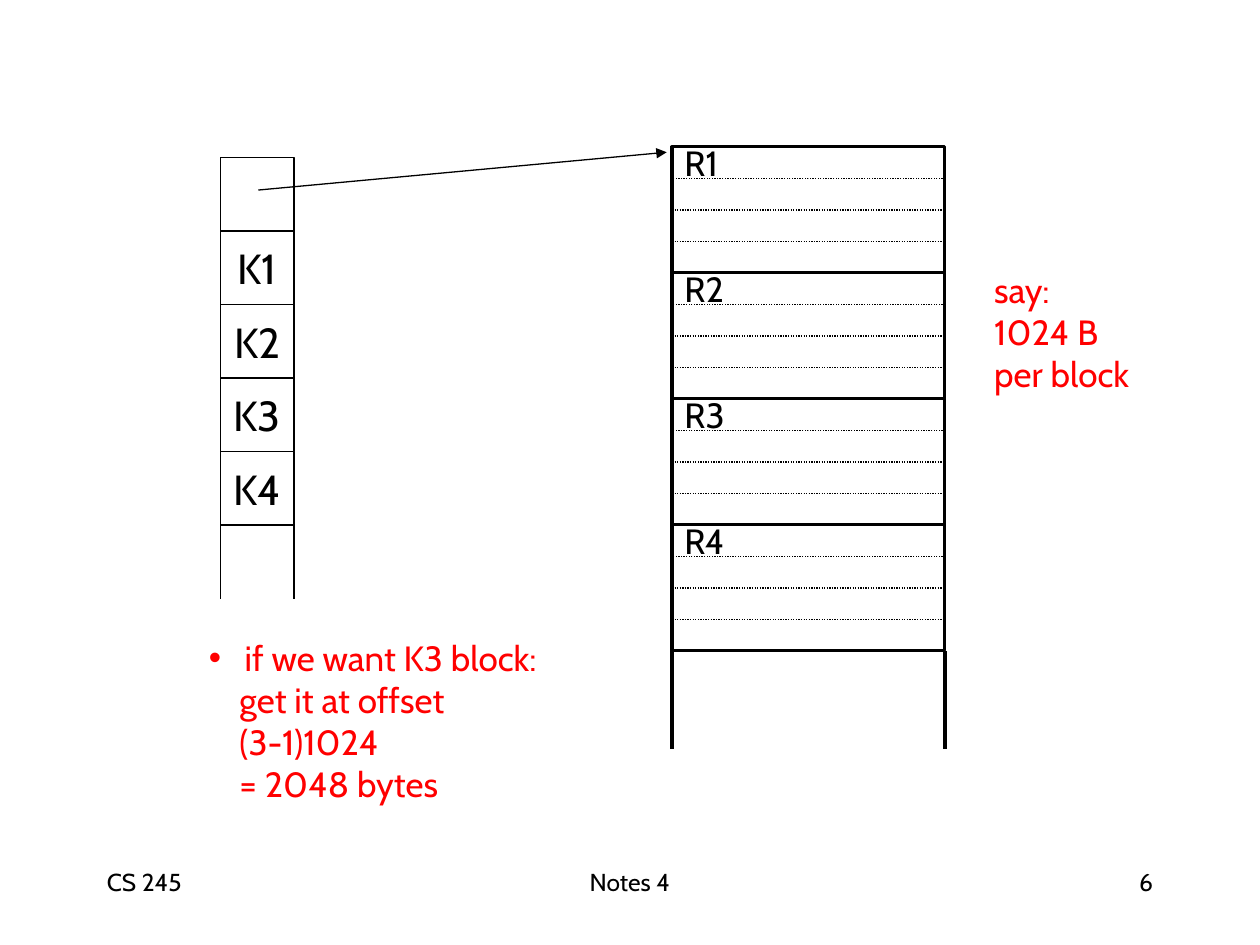
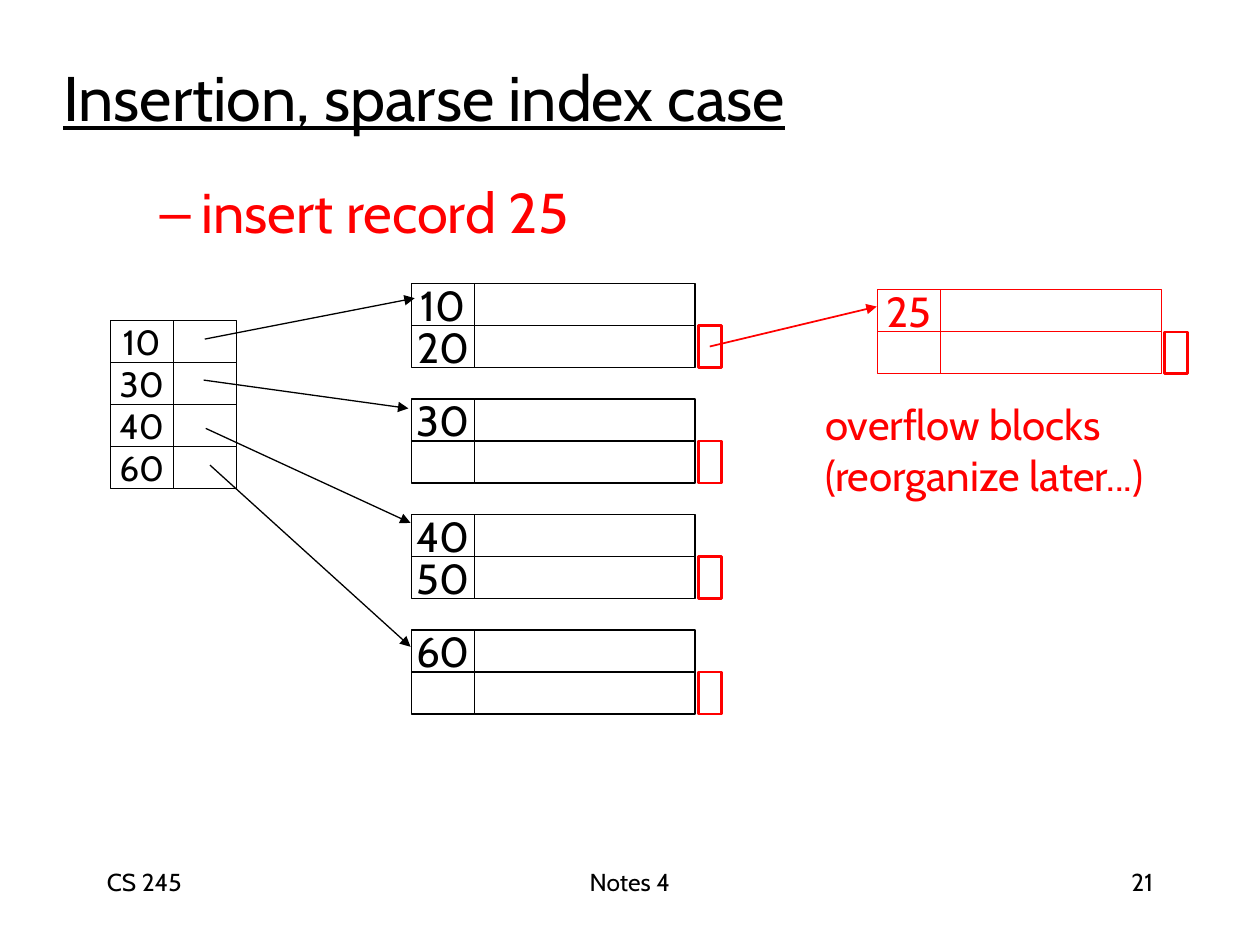
from pptx import Presentation
from pptx.dml.color import RGBColor
from pptx.enum.dml import MSO_LINE
from pptx.enum.shapes import MSO_CONNECTOR, MSO_SHAPE
from pptx.enum.text import MSO_ANCHOR, MSO_AUTO_SIZE, PP_ALIGN
from pptx.oxml.ns import qn
from pptx.util import Pt
from lxml import etree

PX = 7620  # EMU in one px, 120 px to the inch
WIDE, HIGH = 1200, 900
BLACK = RGBColor(0, 0, 0)
WHITE = RGBColor(255, 255, 255)
RED = RGBColor(255, 0, 0)
FONT = "Cabin"
LEFT, MID, RIGHT = PP_ALIGN.LEFT, PP_ALIGN.CENTER, PP_ALIGN.RIGHT
TOP, CENTER = MSO_ANCHOR.TOP, MSO_ANCHOR.MIDDLE
RECT, STRAIGHT = MSO_SHAPE.RECTANGLE, MSO_CONNECTOR.STRAIGHT
DOT, NO_FIT = MSO_LINE.ROUND_DOT, MSO_AUTO_SIZE.NONE


class Deck:
    def __init__(self):
        self.prs = Presentation()
        self.prs.slide_width = WIDE * PX
        self.prs.slide_height = HIGH * PX
        self.slide = None

    def start(self, number, title=None):
        self.slide = self.prs.slides.add_slide(self.prs.slide_layouts[1])
        head = self.slide.shapes.title
        if title:
            self.place(head, 48, 37, 1020, 110)
            self.label(head, [title], 36, under=True)
        else:
            head._element.getparent().remove(head._element)
        for x, w, words, align in ((90, 250, "CS 245", LEFT),
                                   (410, 380, "Notes 4", MID),
                                   (860, 250, str(number), RIGHT)):
            self.text(x, 820, w, 60, [words], 14, BLACK, align, TOP)

    def place(self, shape, x, y, w, h):
        shape.left, shape.top = x * PX, y * PX
        shape.width, shape.height = w * PX, h * PX

    def label(self, shape, lines, size, color=BLACK, align=LEFT,
              anchor=CENTER, wrap=True, under=None):
        frame = shape.text_frame
        frame.auto_size = NO_FIT
        frame.word_wrap = wrap
        frame.vertical_anchor = anchor
        frame.margin_left = frame.margin_right = 12 * PX
        frame.margin_top = frame.margin_bottom = 6 * PX
        for i, line in enumerate(lines):
            para = frame.paragraphs[0] if i == 0 else frame.add_paragraph()
            para.alignment = align
            para.space_before = Pt(0)
            run = para.add_run()
            run.text = line
            font = run.font
            font.name, font.size, font.underline = FONT, Pt(size), under
            font.color.rgb = color

    def text(self, x, y, w, h, lines, size, color=RED, align=LEFT,
             anchor=CENTER):
        box = self.slide.shapes.add_textbox(x * PX, y * PX, w * PX, h * PX)
        self.label(box, lines, size, color, align, anchor)

    def list(self, x, y, w, h, lines, size, mark, hang, rest=0):
        """Fill the body; only its first line has a bullet."""
        body = self.slide.placeholders[1]
        self.place(body, x, y, w, h)
        self.label(body, lines, size, RED)
        for i, para in enumerate(body.text_frame.paragraphs):
            props = para._p.get_or_add_pPr()
            margin, indent = hang if i == 0 else (rest, 0)
            props.set("marL", str(margin * PX))
            props.set("indent", str(indent * PX))
            if i == 0:
                tint = etree.SubElement(props, qn("a:buClr"))
                etree.SubElement(tint, qn("a:srgbClr"), val=str(RED))
                etree.SubElement(props, qn("a:buChar"), char=mark)
            else:
                etree.SubElement(props, qn("a:buNone"))

    def rect(self, x, y, w, h, words="", size=24, color=BLACK, weight=0.75,
             fill=WHITE, dash=None, align=MID):
        box = self.slide.shapes.add_shape(RECT, x * PX, y * PX, w * PX, h * PX)
        box.shadow.inherit = False
        if fill is None:
            box.fill.background()
        else:
            box.fill.solid()
            box.fill.fore_color.rgb = fill
        self.stroke(box.line, color, weight, dash)
        if words:
            self.label(box, [words], size, color, align, wrap=align != MID)

    def stroke(self, line, color, weight, dash):
        line.color.rgb = color
        line.width = Pt(weight)
        if dash:
            line.dash_style = dash

    def line(self, x1, y1, x2, y2, color=BLACK, weight=0.75, dash=None,
             arrow=False):
        link = self.slide.shapes.add_connector(
            STRAIGHT, x1 * PX, y1 * PX, x2 * PX, y2 * PX)
        self.stroke(link.line, color, weight, dash)
        props = link._element.spPr
        if arrow:
            etree.SubElement(props.find(qn("a:ln")), qn("a:tailEnd"),
                             type="triangle")
        etree.SubElement(props, qn("a:effectLst"))

    def record(self, x, y, w, name):
        """Draw a block with its name in the first of four dotted rows."""
        row = 30
        self.rect(x, y, w, row, name, 20, dash=DOT, align=LEFT)
        self.rect(x, y, w, 4 * row, weight=1.75, fill=None)
        for i in (2, 3):
            self.line(x, y + i * row, x + w, y + i * row, dash=DOT)

    def block(self, x, y, keys, color=BLACK):
        """Draw a two-row data block with its red overflow pointer cell."""
        for i, key in enumerate(keys):
            self.rect(x, y + 40 * i, 60, 40, key, color=color)
            self.rect(x + 60, y + 40 * i, 210, 40, color=color)
        self.rect(x + 273, y + 40, 22, 40, color=RED, weight=1.5)


def offset(deck):
    deck.start(6)
    side = 70
    for i, key in enumerate(("", "K1", "K2", "K3", "K4")):
        deck.rect(210, 150 + side * i, side, side, key)
    for x in (210, 210 + side):
        deck.line(x, 500, x, 570)
    left, wide = 640, 260
    for i in range(4):
        deck.record(left, 140 + 120 * i, wide, f"R{i + 1}")
    for x in (left, left + wide):
        deck.line(x, 620, x, 713, weight=2)
    deck.line(246, 181, 635, 145, arrow=True)
    deck.text(935, 250, 169, 132, ["say:", "1024 B", "per block"], 20)
    deck.list(187, 600, 354, 173,
              ["if we want K3 block:", "get it at offset", "(3-1)1024",
               "= 2048 bytes"], 20, "•", (34, -34), 29)


def insert(deck):
    deck.start(21, "Insertion, sparse index case")
    deck.list(72, 163, 522, 77, ["insert record 25"], 32, "–", (108, -40))
    for i, keys in enumerate((("10", "20"), ("30", ""), ("40", "50"),
                              ("60", ""))):
        deck.block(392, 270 + 110 * i, keys)
        y = 305 + 40 * i
        deck.rect(105, y, 60, 40, keys[0], 20)
        deck.rect(165, y, 60, 40)
    for ends in ((195, 323, 395, 284), (194, 362, 389, 389),
                 (196, 408, 391, 498), (200, 443, 391, 616)):
        deck.line(*ends, arrow=True)
    deck.block(836, 276, ("25", ""), RED)
    deck.line(676, 330, 835, 292, RED, 1, arrow=True)
    deck.text(774, 374, 379, 108,
              ["overflow blocks", "(reorganize later...)"], 24)


def main():
    deck = Deck()
    offset(deck)
    insert(deck)
    deck.prs.save("out.pptx")


if __name__ == "__main__":
    main()
